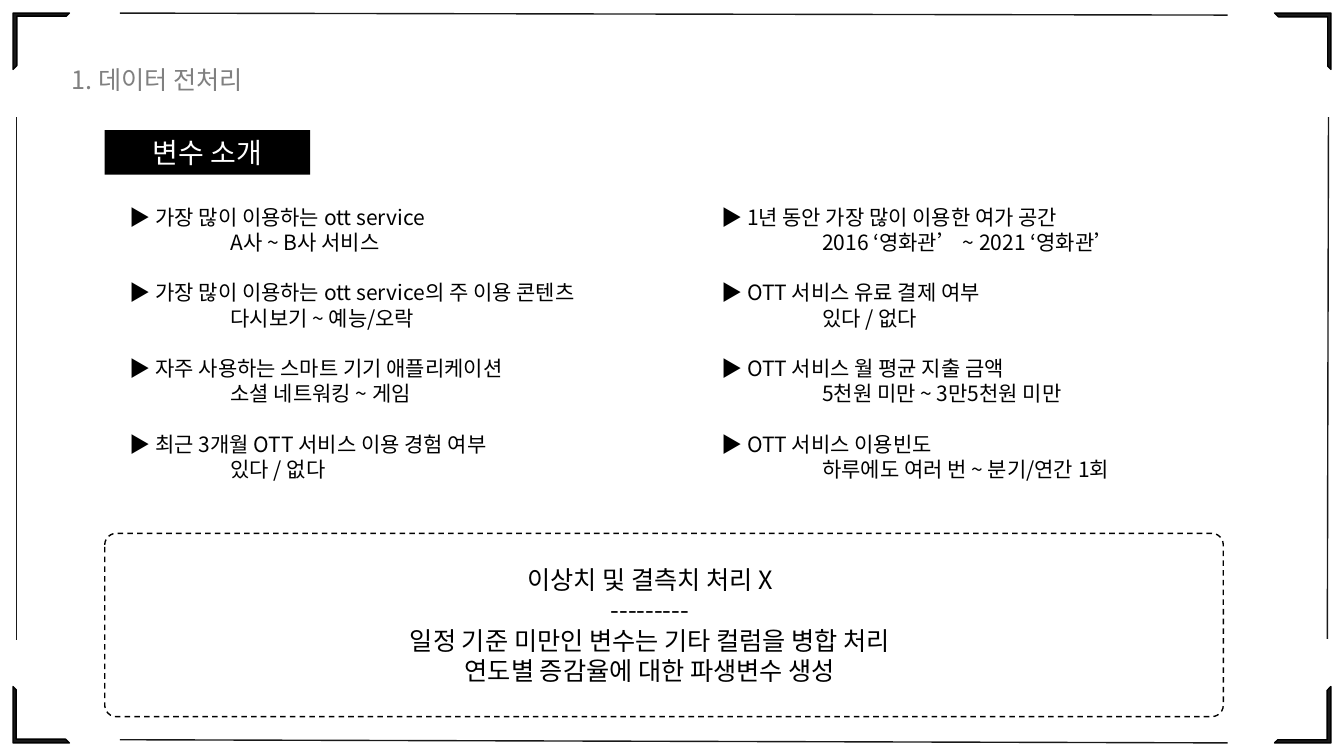
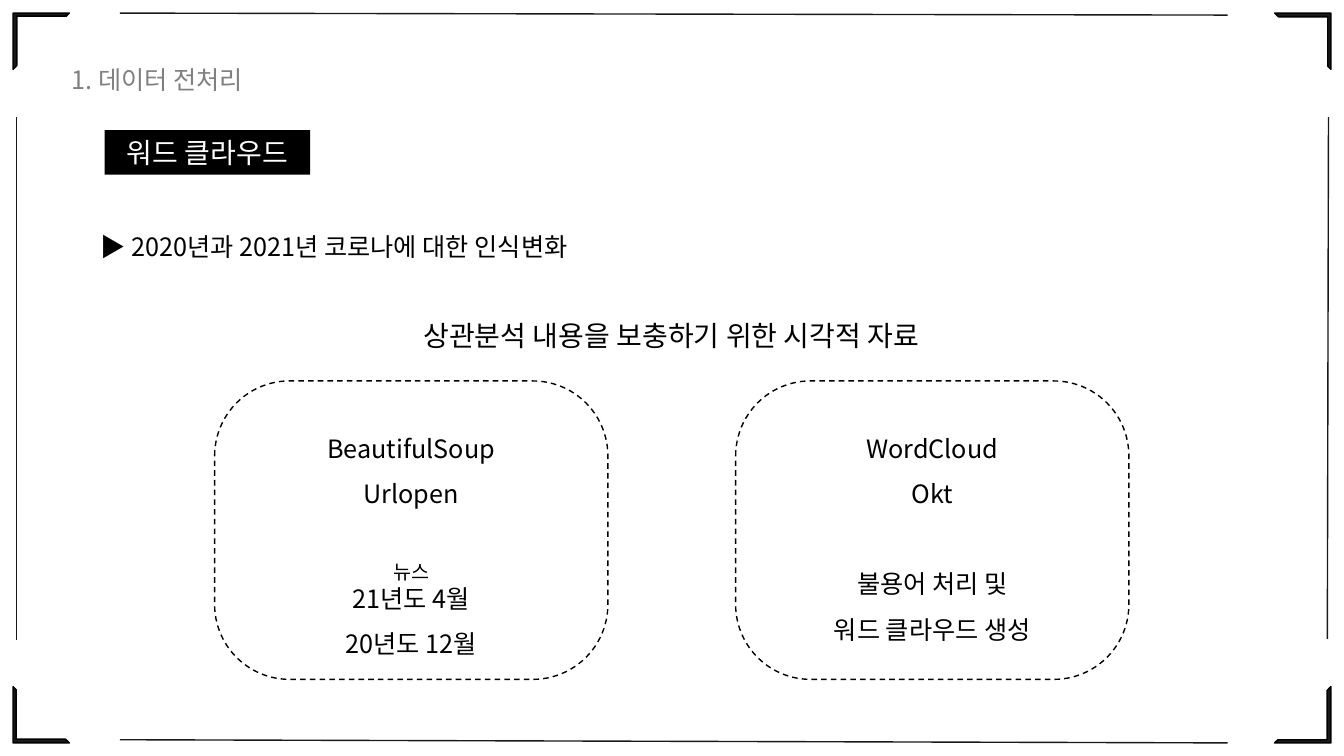
from lxml import etree
from pptx import Presentation
from pptx.dml.color import RGBColor
from pptx.enum import dml, shapes, text
from pptx.oxml import ns
from pptx.util import Cm, Pt

FONT = "Noto Sans CJK KR"
BLACK = RGBColor(0x00, 0x00, 0x00)
WHITE = RGBColor(0xFF, 0xFF, 0xFF)
GREY = RGBColor(0x80, 0x80, 0x80)
EDGE = RGBColor(0x19, 0x19, 0x19)

WIDTH, HEIGHT = 33.87, 19.05
MARGIN, CORNER = 0.33, 1.42
EDGES = [
    (0.41, 2.95, 0.41, 16.13),
    (33.48, 2.95, 33.45, 16.1),
    (3.02, 0.33, 30.94, 0.38),
    (3.02, 18.64, 30.94, 18.72),
]
SECTION = "1. 데이터 전처리"

VARIABLES_TITLE = "변수 소개"
VARIABLE_COLUMNS = [
    ((3.02, 4.39, 13.36, 7.95), [
        ("가장 많이 이용하는 ott service", "A사 ~ B사 서비스"),
        ("가장 많이 이용하는 ott service의 주 이용 콘텐츠", "다시보기 ~ 예능/오락"),
        ("자주 사용하는 스마트 기기 애플리케이션", "소셜 네트워킹 ~ 게임"),
        ("최근 3개월 OTT 서비스 이용 경험 여부", "있다 / 없다"),
    ]),
    ((17.93, 4.39, 12.9, 7.95), [
        ("1년 동안 가장 많이 이용한 여가 공간", "2016 ‘영화관’ ~ 2021 ‘영화관’"),
        ("OTT 서비스 유료 결제 여부", "있다 / 없다"),
        ("OTT 서비스 월 평균 지출 금액", "5천원 미만 ~ 3만5천원 미만"),
        ("OTT 서비스 이용빈도", "하루에도 여러 번 ~ 분기/연간 1회"),
    ]),
]
TREATMENT = [
    "이상치 및 결측치 처리 X",
    "---------",
    "일정 기준 미만인 변수는 기타 컬럼을 병합 처리",
    "연도별 증감율에 대한 파생변수 생성",
]

CLOUD_TITLE = "워드 클라우드"
CLOUD_TOPIC = "▶ 2020년과 2021년 코로나에 대한 인식변화"
CLOUD_CAPTION = "상관분석 내용을 보충하기 위한 시각적 자료"
CLOUD_CARDS = [
    [
        ("BeautifulSoup", {}),
        ("Urlopen", {}),
        ("뉴스", {"size": 14, "before": 28}),
        ("21년도 4월", {"spacing": 1}),
        ("20년도 12월", {}),
    ],
    [
        ("WordCloud", {}),
        ("Okt", {}),
        ("불용어 처리 및", {"before": 32}),
        ("워드 클라우드 생성", {}),
    ],
]
CARD_LEFT, CARD_TOP, CARD_WIDTH, CARD_HEIGHT = 5.41, 9.6, 9.91, 7.52
CARD_STEP, CARD_INSET = 13.13, 0.65


def write(frame, lines, size=18, color=BLACK, align=text.PP_ALIGN.LEFT, spacing=1):
    frame.word_wrap = True
    for index, (words, options) in enumerate(lines):
        paragraph = frame.paragraphs[0] if index == 0 else frame.add_paragraph()
        paragraph.text = words
        paragraph.alignment = align
        paragraph.line_spacing = float(options.get("spacing", spacing))
        paragraph.space_before = Pt(options.get("before", 0))
        font = paragraph.font
        font.size = Pt(options.get("size", size))
        font.color.rgb = color
        font.name = FONT
        properties = paragraph._p.get_or_add_pPr()
        properties.set("marL", str(Cm(options.get("indent", 0))))
        defaults = properties.find(ns.qn("a:defRPr"))
        etree.SubElement(defaults, ns.qn("a:ea"), typeface=FONT)


def add_text(slide, box, lines, **style):
    frame = slide.shapes.add_textbox(*map(Cm, box)).text_frame
    write(frame, lines, **style)


def add_shape(slide, kind, box):
    shape = slide.shapes.add_shape(kind, *map(Cm, box))
    shape.shadow.inherit = False
    return shape


def add_dashed_panel(slide, box, rounding):
    panel = add_shape(slide, shapes.MSO_SHAPE.ROUNDED_RECTANGLE, box)
    panel.adjustments[0] = rounding
    panel.fill.background()
    panel.line.color.rgb = BLACK
    panel.line.width = Pt(1)
    panel.line.dash_style = dml.MSO_LINE.DASH


def add_frame(slide):
    right, bottom = WIDTH - MARGIN - CORNER, HEIGHT - MARGIN - CORNER
    corners = [(MARGIN, MARGIN), (right, MARGIN), (right, bottom), (MARGIN, bottom)]
    for turn, (left, top) in enumerate(corners):
        corner = add_shape(slide, shapes.MSO_SHAPE.HALF_FRAME, (left, top, CORNER, CORNER))
        corner.adjustments[0] = 0.056
        corner.adjustments[1] = 0.067
        corner.rotation = 90 * turn
        corner.fill.solid()
        corner.fill.fore_color.rgb = BLACK
        fill_color = corner._element.spPr.find(ns.qn("a:solidFill"))[0]
        etree.SubElement(fill_color, ns.qn("a:alpha"), val="90000")
        corner.line.color.rgb = BLACK
        corner.line.width = Pt(1)
    for ends in EDGES:
        edge = slide.shapes.add_connector(shapes.MSO_CONNECTOR.STRAIGHT, *map(Cm, ends))
        edge.line.color.rgb = EDGE
        edge.line.width = Pt(1)
        etree.SubElement(edge._element.spPr, ns.qn("a:effectLst"))


def add_slide(presentation, title):
    slide = presentation.slides.add_slide(presentation.slide_layouts[6])
    add_frame(slide)
    add_text(slide, (1.55, 1.5, 5.18, 1.02), [(SECTION, {})], color=GREY)
    tag = add_shape(slide, shapes.MSO_SHAPE.RECTANGLE, (2.64, 3.28, 5.18, 1.12))
    tag.fill.solid()
    tag.fill.fore_color.rgb = BLACK
    tag.line.fill.background()
    tag.text_frame.vertical_anchor = text.MSO_ANCHOR.MIDDLE
    write(tag.text_frame, [(title, {})], size=20, color=WHITE, align=text.PP_ALIGN.CENTER)
    return slide


def build_variables(presentation):
    slide = add_slide(presentation, VARIABLES_TITLE)
    for box, variables in VARIABLE_COLUMNS:
        lines = []
        for name, values in variables:
            lines += [("▶ " + name, {"spacing": 2}), (values, {"indent": 2.54})]
        add_text(slide, box, lines, size=15)
    add_dashed_panel(slide, (2.64, 13.44, 28.19, 4.62), 0.063)
    treatment = [(line, {}) for line in TREATMENT]
    add_text(slide, (8.99, 14.1, 14.78, 3.33), treatment, align=text.PP_ALIGN.CENTER)


def build_cloud(presentation):
    slide = add_slide(presentation, CLOUD_TITLE)
    centred = {"align": text.PP_ALIGN.CENTER, "spacing": 1.5}
    add_text(slide, (2.29, 5.33, 13.56, 2.46), [(CLOUD_TOPIC, {})], spacing=1.5)
    add_text(slide, (3.56, 7.47, 26.72, 1.42), [(CLOUD_CAPTION, {})], size=20, **centred)
    for index, lines in enumerate(CLOUD_CARDS):
        left = CARD_LEFT + index * CARD_STEP
        add_dashed_panel(slide, (left, CARD_TOP, CARD_WIDTH, CARD_HEIGHT), 0.251)
        inner = (left + CARD_INSET, 10.41, CARD_WIDTH - 2 * CARD_INSET, 6.32)
        add_text(slide, inner, lines, **centred)


def main():
    presentation = Presentation()
    presentation.slide_width, presentation.slide_height = Cm(WIDTH), Cm(HEIGHT)
    build_variables(presentation)
    build_cloud(presentation)
    presentation.save("out.pptx")


if __name__ == "__main__":
    main()
